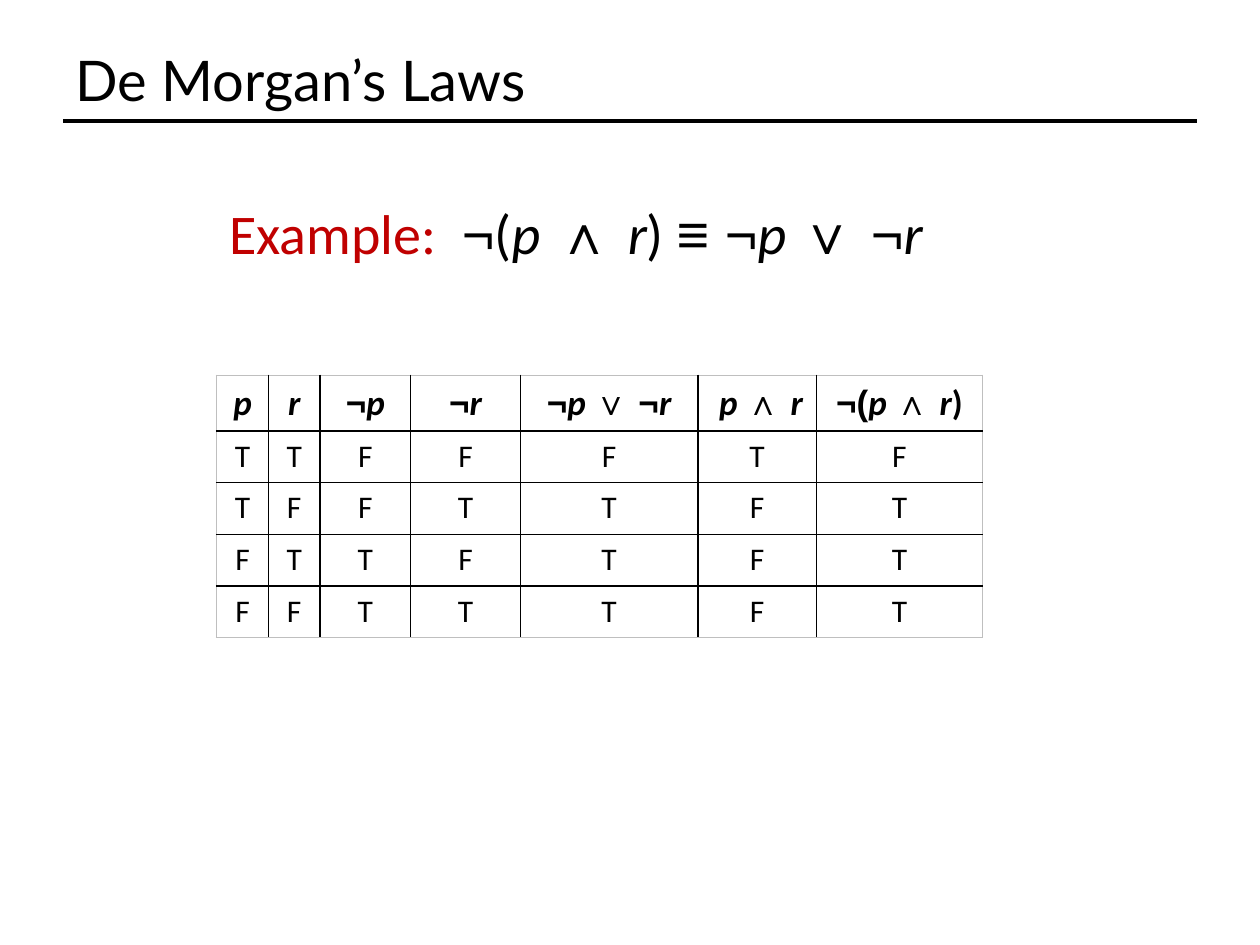
from itertools import product

from lxml.etree import SubElement
from pptx import Presentation
from pptx.dml.color import RGBColor
from pptx.enum.shapes import MSO_CONNECTOR
from pptx.enum.text import MSO_ANCHOR, MSO_AUTO_SIZE, PP_ALIGN
from pptx.oxml.ns import qn
from pptx.util import Inches, Pt

COLORS = {"ink": "000000", "accent": "C00000", "frame": "BFBFBF"}

# Run styles: font name, italic
STYLES = {"var": ("Calibri", True), "sym": ("Arial", False), "text": ("Calibri", False)}

EXAMPLE = [("Example:  ", "text"), ("¬", "sym"), ("(", "text"), ("p", "var"),
           (" ∧ ", "sym"), ("r", "var"), (") ", "text"), ("≡ ¬", "sym"),
           ("p ", "var"), ("∨ ¬", "sym"), ("r", "var")]

HEADERS = [
    [("p", "var")],
    [("r", "var")],
    [("¬", "sym"), ("p", "var")],
    [(" ", "text"), ("¬", "sym"), ("r ", "var")],
    [("¬", "sym"), ("p ", "var"), ("∨ ¬", "sym"), ("r", "var")],
    [(" p ", "var"), ("∧ ", "sym"), ("r", "var")],
    [("¬(", "sym"), ("p ", "var"), ("∧ ", "sym"), ("r", "var"), (")", "text")],
]


def truth_rows():
    """Evaluate every table column for each pair of truth values."""
    for p, r in product((True, False), repeat=2):
        values = (p, r, not p, not r, not p or not r, p and r, not (p and r))
        yield [[("T" if value else "F", "text")] for value in values]


def rgb(name):
    return RGBColor.from_string(COLORS[name])


class Deck:
    """Holds the style and the current slide; lengths are shares of the slide."""

    def __init__(self):
        self.prs = Presentation()
        self.prs.slide_width, self.prs.slide_height = Inches(10), Inches(7.5)
        self.s = self.prs.slides.add_slide(self.prs.slide_layouts[5])

    def x(self, share):
        return int(self.prs.slide_width * share)

    def y(self, share):
        return int(self.prs.slide_height * share)

    def box(self, left, top, width, height):
        return self.x(left), self.y(top), self.x(width), self.y(height)

    def title(self, text, *place):
        sp = self.s.shapes.title
        sp.left, sp.top, sp.width, sp.height = self.box(*place)
        sp.text_frame.vertical_anchor = MSO_ANCHOR.MIDDLE
        p = sp.text_frame.paragraphs[0]
        p.text, p.alignment = text, PP_ALIGN.LEFT
        p.font.name, p.font.size = "Lato", Pt(32)
        p.font.color.rgb = rgb("ink")

    def rule(self, left, right, top):
        line = self.s.shapes.add_connector(
            MSO_CONNECTOR.STRAIGHT, self.x(left), self.y(top), self.x(right), self.y(top))
        line.line.color.rgb, line.line.width = rgb("ink"), Pt(2)
        SubElement(line._element.spPr, qn("a:effectLst"))

    def runs(self, p, parts, size, bold=False):
        p.font.size, p.font.bold = Pt(size), bold
        p.font.color.rgb = rgb("ink")
        for text, style in parts:
            r = p.add_run()
            r.text = text
            r.font.name, r.font.italic = STYLES[style]

    def formula(self, parts, *place):
        tf = self.s.shapes.add_textbox(*self.box(*place)).text_frame
        tf.word_wrap, tf.auto_size = True, MSO_AUTO_SIZE.SHAPE_TO_FIT_TEXT
        p = tf.paragraphs[0]
        self.runs(p, parts, 32)
        p.runs[0].font.color.rgb = rgb("accent")
        p.runs[4].font.bold = True

    def border(self, cell, side, color):
        ln = SubElement(cell._tc.get_or_add_tcPr(), qn(f"a:{side}"), w=str(Pt(1)))
        fill = SubElement(ln, qn("a:solidFill"))
        SubElement(fill, qn("a:srgbClr"), val=COLORS[color])

    def table(self, rows, left, top, widths, heights):
        table = self.s.shapes.add_table(
            len(rows), len(widths),
            *self.box(left, top, sum(widths), sum(heights))).table
        table.first_row = table.horz_banding = False
        for column, width in zip(table.columns, widths):
            column.width = self.x(width)
        for row, height in zip(table.rows, heights):
            row.height = self.y(height)
        last_row, last_col = len(rows) - 1, len(widths) - 1
        for i, row in enumerate(rows):
            for j, parts in enumerate(row):
                cell = table.cell(i, j)
                p = cell.text_frame.paragraphs[0]
                p.alignment = PP_ALIGN.CENTER
                self.runs(p, parts, 18 if i else 20, bold=i == 0)
                outer = {"lnL": j == 0, "lnR": j == last_col,
                         "lnT": i == 0, "lnB": i == last_row}
                for side, is_outer in outer.items():
                    self.border(cell, side, "frame" if is_outer else "ink")
                cell.fill.background()


def main():
    deck = Deck()
    deck.rule(0.05, 0.95, 0.128)
    deck.title("De Morgan’s Laws", 0.05, 0.04, 0.9, 0.088)
    widths = [inches / 10 for inches in (0.41, 0.41, 0.72, 0.87, 1.41, 0.94, 1.32)]
    heights = [inches / 7.5 for inches in (0.35, 0.41, 0.41, 0.41, 0.41)]
    deck.table([HEADERS, *truth_rows()], 0.172, 2.98 / 7.5, widths, heights)
    deck.formula(EXAMPLE, 0.172, 1.53 / 7.5, 0.661, 0.64 / 7.5)
    deck.prs.save("out.pptx")


if __name__ == "__main__":
    main()
